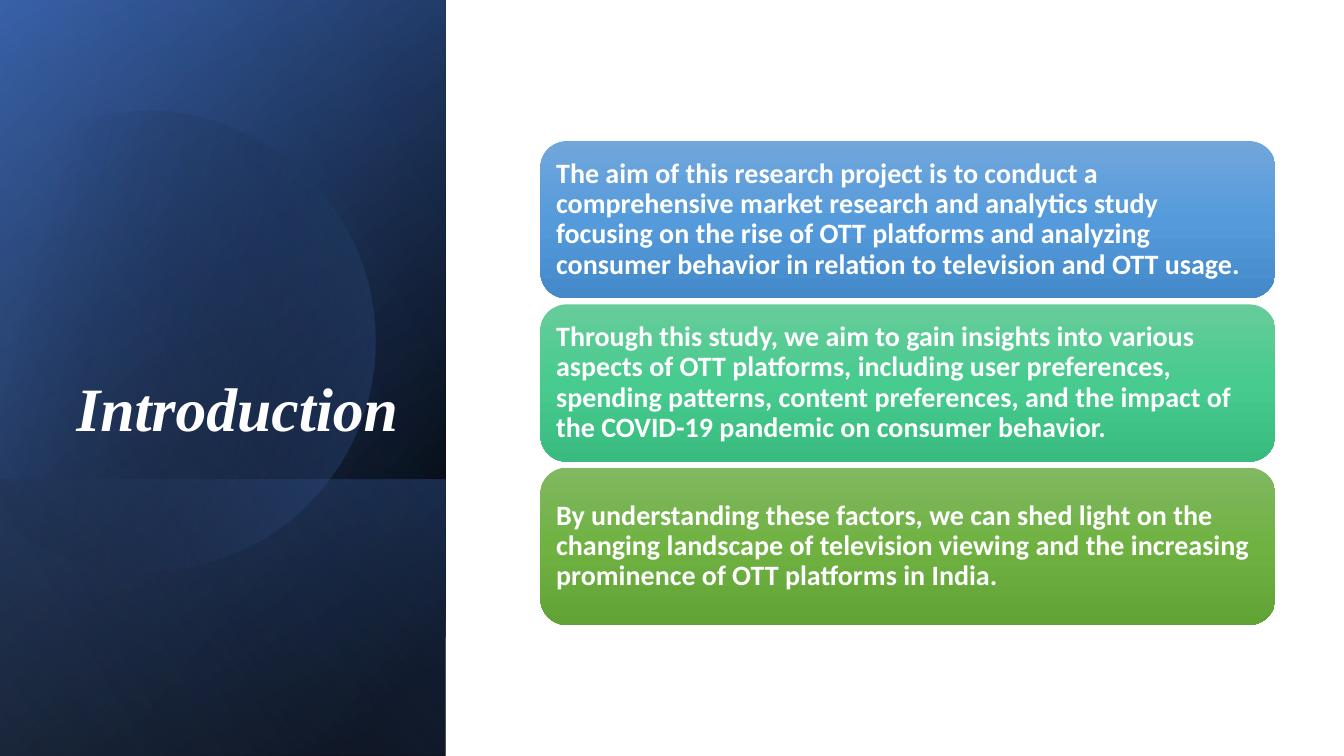
"""Build the Introduction slide with a layered gradient panel and three text cards."""
import math

from pptx import Presentation
from pptx.dml.color import RGBColor
from pptx.enum.shapes import MSO_SHAPE
from pptx.enum.text import MSO_ANCHOR, PP_ALIGN
from pptx.oxml import parse_xml
from pptx.oxml.ns import nsdecls, qn
from pptx.util import Inches, Pt

RECT, ROUND = MSO_SHAPE.RECTANGLE, MSO_SHAPE.ROUNDED_RECTANGLE
MIDDLE, BOTTOM = MSO_ANCHOR.MIDDLE, MSO_ANCHOR.BOTTOM
LEFT, RIGHT = PP_ALIGN.LEFT, PP_ALIGN.RIGHT

WHITE = RGBColor(0xFF, 0xFF, 0xFF)
BLACK = RGBColor(0x00, 0x00, 0x00)
NAVY = RGBColor(0x2F, 0x55, 0x97)
BLUE = RGBColor(0x44, 0x72, 0xC4)
PALE = RGBColor(0x8F, 0xAA, 0xDC)
SKY = [RGBColor(0x71, 0xA6, 0xDB), RGBColor(0x55, 0x9B, 0xDB), RGBColor(0x44, 0x8A, 0xCA)]
MINT = [RGBColor(0x67, 0xCC, 0x9A), RGBColor(0x47, 0xCB, 0x8E), RGBColor(0x39, 0xBB, 0x7F)]
LEAF = [RGBColor(0x81, 0xB8, 0x61), RGBColor(0x6F, 0xB2, 0x42), RGBColor(0x62, 0xA3, 0x36)]


def shade(shape, stops, angle):
    shape.shadow.inherit = False
    shape.line.fill.background()
    shape.fill.gradient()
    marks = "".join(
        f'<a:gs pos="{pos * 1000}"><a:srgbClr val="{color}">'
        f'<a:alpha val="{alpha * 1000}"/></a:srgbClr></a:gs>'
        for pos, color, alpha in stops)
    props = shape.element.spPr
    props.replace(props.find(qn("a:gradFill")), parse_xml(
        f'<a:gradFill {nsdecls("a")} rotWithShape="1"><a:gsLst>{marks}</a:gsLst>'
        f'<a:lin ang="{angle * 60000}" scaled="0"/></a:gradFill>'))


def write(shape, text, size, font, align, anchor):
    frame = shape.text_frame
    frame.text = text
    frame.word_wrap = True
    frame.vertical_anchor = anchor
    para = frame.paragraphs[0]
    para.alignment = align
    para.line_spacing = 0.9
    face = para.runs[0].font
    face.name, face.size, face.bold = font, Pt(size), True
    face.color.rgb = WHITE
    return para


deck = Presentation()
deck.slide_width, deck.slide_height = Inches(13.33), Inches(7.5)
slide = deck.slides.add_slide(deck.slide_layouts[6])
shapes = slide.shapes

FULL = (-1.54, 1.54, 7.5, 4.42)
panels = [
    (FULL, [(8, BLACK, 100), (100, NAVY, 100)], 50),
    (FULL, [(0, BLACK, 0), (99, BLUE, 46)], 30),
    ((0.84, 3.92, 2.74, 4.42), [(2, BLUE, 29), (100, BLACK, 30)], 130),
    "disc",
    (FULL, [(0, BLACK, 0), (99, PALE, 11)], 120),
]

TURN = 343.9
MID = (1.58, 3.35)
START = (1.49, 1.1)
EDGE = [(-0.15, 5.03), (-0.15, 1.75), (0, 1.61)]
ARC = [
    [(2.46, 1.12), (3.35, 1.77), (3.63, 2.75)],
    [(3.98, 3.97), (3.28, 5.23), (2.07, 5.58)],
    [(1.31, 5.8), (0.53, 5.61), (-0.03, 5.14)],
]
TAIL = [
    [(0.23, 1.42), (0.5, 1.28), (0.8, 1.19)],
    [(1.03, 1.13), (1.26, 1.1), START],
]
STEPS = 24

outline = [START]
for curve in ARC + [None] + TAIL:
    if curve is None:
        outline += EDGE
        continue
    knots = [outline[-1]] + curve
    for step in range(1, STEPS + 1):
        t = step / STEPS
        outline.append(tuple(
            sum(math.comb(3, i) * (1 - t) ** (3 - i) * t ** i * knots[i][axis]
                for i in range(4)) for axis in (0, 1)))

turn = math.radians(-TURN)
level = []
for x, y in outline:
    dx, dy = x - MID[0], y - MID[1]
    level.append((Inches(MID[0] + dx * math.cos(turn) - dy * math.sin(turn)),
                  Inches(MID[1] + dx * math.sin(turn) + dy * math.cos(turn))))

for panel in panels:
    if panel == "disc":
        pen = shapes.build_freeform(*level[0])
        pen.add_line_segments(level[1:], close=True)
        disc = pen.convert_to_shape()
        disc.rotation = TURN
        shade(disc, [(29, BLACK, 0), (100, BLUE, 43)], 30)
        continue
    box, stops, angle = panel
    layer = shapes.add_shape(RECT, *map(Inches, box))
    layer.rotation = 90
    layer.element.spPr.get_or_add_xfrm().set("flipH", "1")
    shade(layer, stops, angle)

title = shapes.add_textbox(Inches(0.64), Inches(1.84), Inches(3.41), Inches(2.62))
head = write(title, "Introduction ", 44, "Times New Roman", RIGHT, BOTTOM)
head.runs[0].font.italic = True

cards = [
    (SKY, "The aim of this research project is to conduct a comprehensive market research "
          "and analytics study focusing on the rise of OTT platforms and analyzing consumer "
          "behavior in relation to television and OTT usage."),
    (MINT, "Through this study, we aim to gain insights into various aspects of OTT "
           "platforms, including user preferences, spending patterns, content preferences, "
           "and the impact of the COVID-19 pandemic on consumer behavior."),
    (LEAF, "By understanding these factors, we can shed light on the changing landscape of "
           "television viewing and the increasing prominence of OTT platforms in India."),
]
TOP, PITCH, PAD = 1.4, 1.62, Inches(0.08)
for row, (tones, text) in enumerate(cards):
    card = shapes.add_shape(ROUND, Inches(5.36), Inches(TOP + row * PITCH),
                            Inches(7.29), Inches(1.56))
    shade(card, [(i * 50, tone, 100) for i, tone in enumerate(tones)], 90)
    write(card, text, 20, "Calibri", LEFT, MIDDLE).space_after = Pt(7)
    frame = card.text_frame
    frame.margin_left = frame.margin_right = PAD
    frame.margin_top = frame.margin_bottom = PAD

deck.save("out.pptx")
